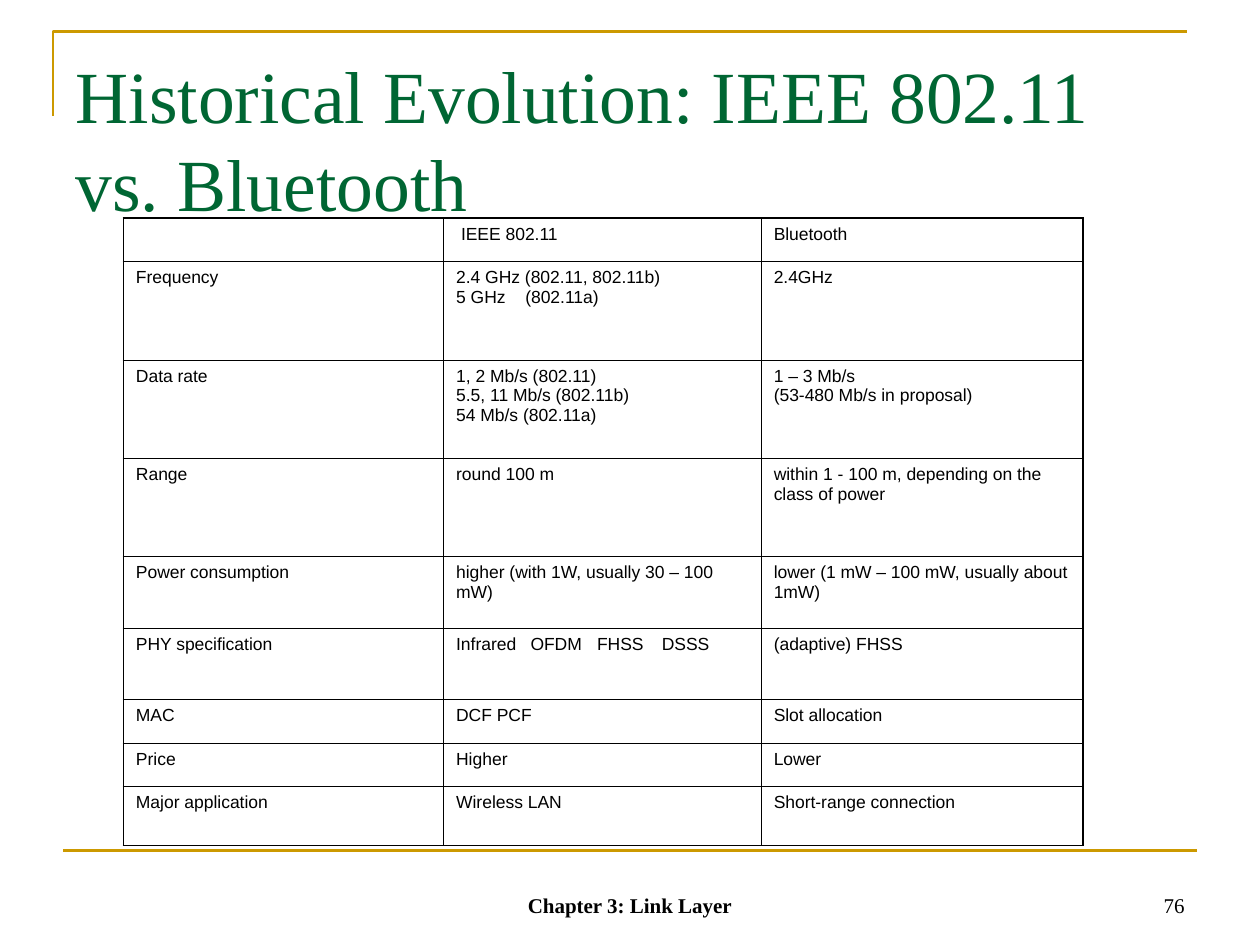
from lxml import etree
from pptx import Presentation
from pptx.dml.color import RGBColor
from pptx.enum import shapes, text
from pptx.oxml import ns
from pptx.util import Pt

GOLD = RGBColor(0xCC, 0x99, 0x00)
GREEN = RGBColor(0x00, 0x66, 0x33)
BLACK = RGBColor(0x00, 0x00, 0x00)
SERIF, SANS = "Times New Roman", "Arial"
OUTER, INNER = Pt(0.96), Pt(0.45)

COMPARISON = [
    ("", "IEEE 802.11", "Bluetooth"),
    ("Frequency", "2.4 GHz (802.11, 802.11b)\n5 GHz\t(802.11a)", "2.4GHz"),
    ("Data rate", "1, 2 Mb/s (802.11)\n5.5, 11 Mb/s (802.11b)\n54 Mb/s (802.11a)",
     "1 – 3 Mb/s\n(53-480 Mb/s in proposal)"),
    ("Range", "round 100 m", "within 1 - 100 m, depending on the class of power"),
    ("Power consumption", "higher (with 1W, usually 30 – 100 mW)",
     "lower (1 mW – 100 mW, usually about 1mW)"),
    ("PHY specification", "Infrared\tOFDM\tFHSS\tDSSS", "(adaptive) FHSS"),
    ("MAC", "DCF PCF", "Slot allocation"),
    ("Price", "Higher", "Lower"),
    ("Major application", "Wireless LAN", "Short-range connection"),
]
ROW_HEIGHTS = [25, 56.2, 56.2, 56.2, 41, 40.6, 25, 24.8, 33.8]
COLUMN_WIDTHS = [183, 181.5, 184]
TAB_STOPS = {1: [39.5], 5: [42.5, 80.5, 117.5]}  # by row, in points


def write(frame, content, tabs=(), **font):
    """Fill a text frame line by line, with tab stops and font values."""
    frame.text = content
    for paragraph in frame.paragraphs:
        if "\t" in content:
            tab_list = etree.SubElement(paragraph._p.get_or_add_pPr(), ns.qn("a:tabLst"))
            for stop in tabs:
                etree.SubElement(tab_list, ns.qn("a:tab"), pos=str(Pt(stop)), algn="l")
        for run in paragraph.runs:
            color = font.get("color", BLACK)
            run.font.color.rgb = color
            for key, value in font.items():
                if key != "color":
                    setattr(run.font, key, value)


def add_borders(cell, widths):
    """Draw the left, right, top and bottom borders, in that order."""
    properties = cell._tc.get_or_add_tcPr()
    for position, (side, width) in enumerate(zip("LRTB", widths)):
        border = etree.Element(ns.qn(f"a:ln{side}"), w=str(width))
        fill = etree.SubElement(border, ns.qn("a:solidFill"))
        etree.SubElement(fill, ns.qn("a:srgbClr"), val=str(BLACK))
        properties.insert(position, border)


prs = Presentation()
prs.slide_width, prs.slide_height = Pt(720), Pt(540)
slide = prs.slides.add_slide(prs.slide_layouts[5])

# Gold frame lines
builder = slide.shapes.build_freeform(Pt(30.24), Pt(66.24))
builder.add_line_segments([(Pt(30.24), Pt(18)), (Pt(678.24), Pt(18))], close=False)
corner = builder.convert_to_shape()
corner.fill.background()
corner.shadow.inherit = False
base = slide.shapes.add_connector(shapes.MSO_CONNECTOR.STRAIGHT,
                                  Pt(36), Pt(486), Pt(684), Pt(486))
etree.SubElement(base._element.spPr, ns.qn("a:effectLst"))
for rule in (corner, base):
    rule.line.color.rgb = GOLD
    rule.line.width = Pt(1.5)

# Title
title = slide.shapes.title
title.left, title.top, title.width, title.height = Pt(36), Pt(21.6), Pt(648), Pt(90)
frame_values = {"word_wrap": True, "auto_size": text.MSO_AUTO_SIZE.NONE,
                "vertical_anchor": text.MSO_ANCHOR.TOP, "margin_top": Pt(7)}
for key, value in frame_values.items():
    setattr(title.text_frame, key, value)
write(title.text_frame, "Historical Evolution: IEEE 802.11 vs. Bluetooth",
      name=SERIF, size=Pt(42), color=GREEN)
heading = title.text_frame.paragraphs[0]
heading.alignment = text.PP_ALIGN.LEFT
heading.line_spacing = Pt(50.3)

# Comparison table
last_row, last_column = len(ROW_HEIGHTS) - 1, len(COLUMN_WIDTHS) - 1
table = slide.shapes.add_table(len(ROW_HEIGHTS), len(COLUMN_WIDTHS), Pt(70.5), Pt(124.6),
                               Pt(sum(COLUMN_WIDTHS)), Pt(sum(ROW_HEIGHTS))).table
table.first_row = table.horz_banding = False
for column, width in zip(table.columns, COLUMN_WIDTHS):
    column.width = Pt(width)
for r, (height, entries) in enumerate(zip(ROW_HEIGHTS, COMPARISON)):
    table.rows[r].height = Pt(height)
    for c, entry in enumerate(entries):
        cell = table.cell(r, c)
        cell.fill.background()
        write(cell.text_frame, entry, TAB_STOPS.get(r, ()), name=SANS, size=Pt(10))
        at_edge = (c == 0, c == last_column, r == 0, r == last_row)
        add_borders(cell, [OUTER if edge else INNER for edge in at_edge])
table.cell(0, 1).margin_left = Pt(10)
# The empty corner cell must not force a taller header row
etree.SubElement(table.cell(0, 0).text_frame.paragraphs[0]._p, ns.qn("a:endParaRPr"), sz="1000")

# Footer
for content, left, width, align, bold in [
    ("Chapter 3: Link Layer", 246, 228, text.PP_ALIGN.CENTER, True),
    ("76", 516, 168, text.PP_ALIGN.RIGHT, False),
]:
    footer = slide.shapes.add_textbox(Pt(left), Pt(492), Pt(width), Pt(36)).text_frame
    footer.word_wrap = True
    footer.vertical_anchor = text.MSO_ANCHOR.BOTTOM
    write(footer, content, name=SERIF, size=Pt(12), bold=bold)
    footer.paragraphs[0].alignment = align

prs.save("out.pptx")
